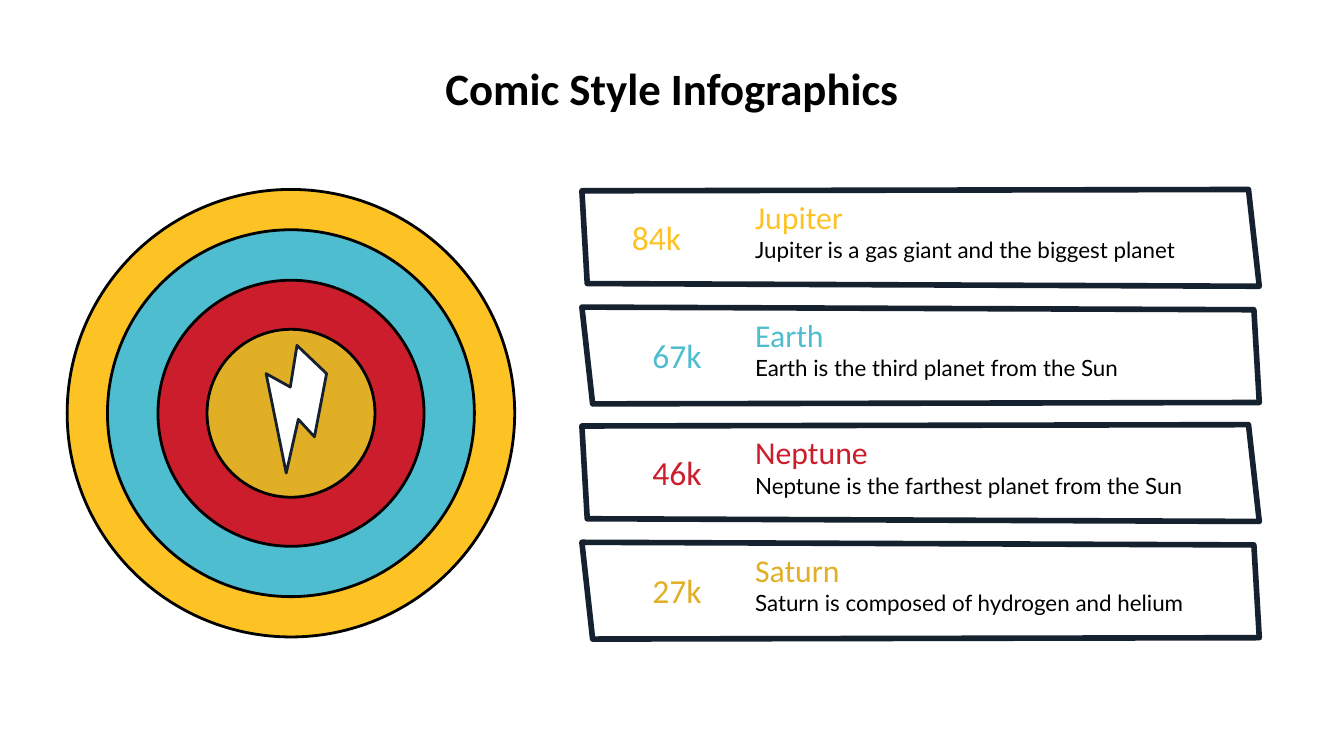
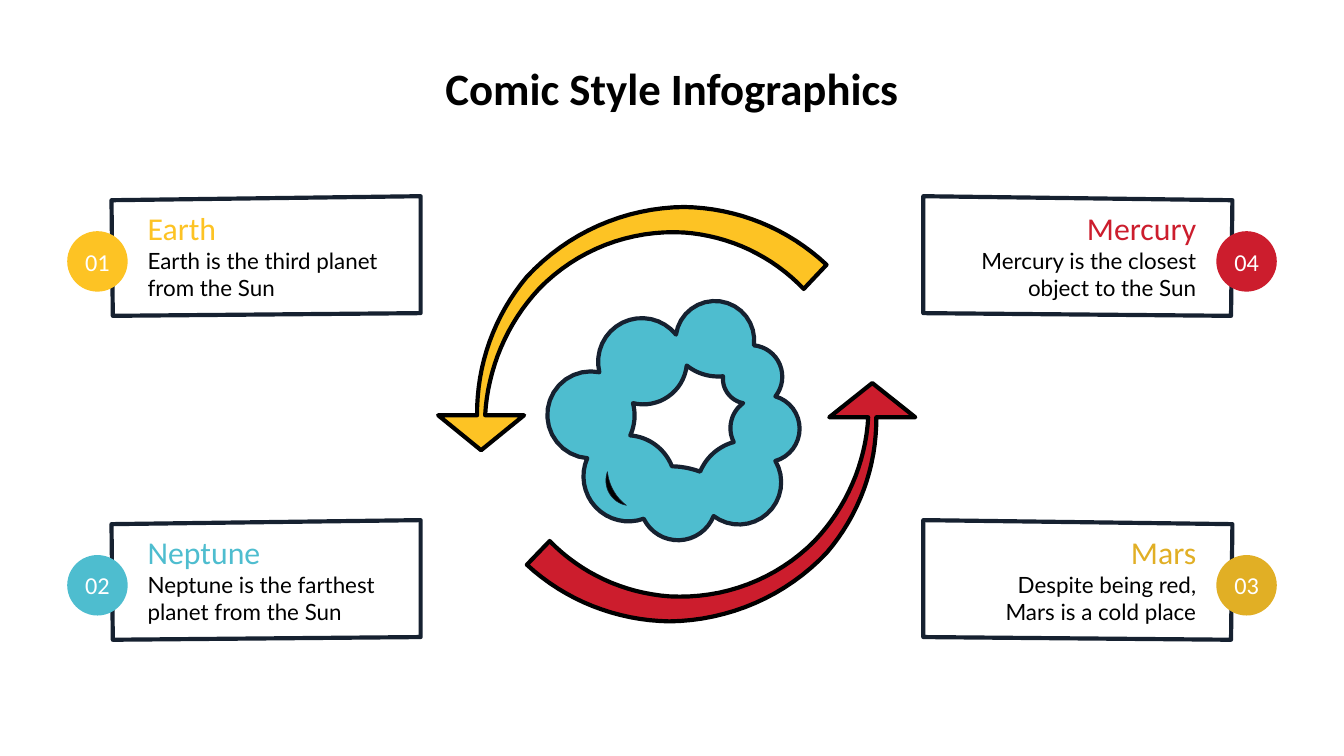
import math

import pptx
import pptx.dml.color
import pptx.enum.shapes
import pptx.enum.text
import pptx.util

# Shared look
COLOURS = {"yellow": "FDC324", "blue": "4EBDCF", "red": "CC1D2D", "gold": "E1AF25",
           "ink": "162130", "black": "000000", "white": "FFFFFF"}
HEAD_FONT, BODY_FONT = "Calibri", "Lato"
SLIDE_W, SLIDE_H = 10, 5.625  # the layout grid is in inches
TITLE = "Comic Style Infographics"
ALIGN = pptx.enum.text.PP_ALIGN

# Slide 1: value, planet, fact, colour
PLANETS = [
    ("84k", "Jupiter", "Jupiter is a gas giant and the biggest planet", "yellow"),
    ("67k", "Earth", "Earth is the third planet from the Sun", "blue"),
    ("46k", "Neptune", "Neptune is the farthest planet from the Sun", "red"),
    ("27k", "Saturn", "Saturn is composed of hydrogen and helium", "gold"),
]
RINGS = [(3.33, "yellow"), (2.73, "blue"), (1.98, "red"), (1.25, "gold")]
RING_CENTRE = (2.165, 3.075)
BOLT = [(2.43, 2.78), (2.34, 3.25), (2.22, 3.12), (2.13, 3.52),
        (1.98, 2.78), (2.16, 2.88), (2.21, 2.57)]
BANNER = [(4.96, 0), (0, 0.01), (0.04, 0.7), (5.04, 0.72)]
BANNER_W, BANNER_H = 5.04, 0.72
BANNER_LEFT, BANNER_TOP, BANNER_PITCH = 4.33, 1.41, 0.875

# Slide 2: number, planet, fact, colour, top, on the right side
CARDS = [
    ("01", "Earth", "Earth is the third planet from the Sun", "yellow", 1.46, False),
    ("02", "Neptune", "Neptune is the farthest planet from the Sun", "blue", 3.87, False),
    ("03", "Mars", "Despite being red,\nMars is a cold place", "gold", 3.87, True),
    ("04", "Mercury", "Mercury is the closest object to the Sun", "red", 1.46, True),
]
CARD = [(3.13, 0), (0.83, 0.03), (0.84, 0.89), (3.13, 0.87)]
BADGE = 0.45

# Curved outlines: every second point is the middle of an arc
CLOUD_EDGE = [(5.03, 2.49), (5.32, 2.24), (5.61, 2.57), (5.82, 2.78), (5.77, 2.95),
              (5.95, 3.19), (5.77, 3.43), (5.74, 3.79), (5.31, 3.84), (5.05, 4.02),
              (4.79, 3.86), (4.46, 3.8), (4.37, 3.41), (4.14, 2.89), (4.46, 2.77),
              (4.53, 2.48), (5.03, 2.49)]
CLOUD_HOLE = [(5.11, 2.72), (5.03, 2.9), (4.71, 3), (4.72, 3.13), (4.69, 3.24),
              (4.89, 3.32), (5, 3.47), (5.1, 3.48), (5.21, 3.51), (5.28, 3.4),
              (5.46, 3.29), (5.44, 3.14), (5.53, 3), (5.41, 2.92), (5.38, 2.8),
              (5.25, 2.79), (5.11, 2.72)]
GLEAM = [(4.52, 3.51), (4.54, 3.68), (4.66, 3.76), (4.57, 3.66), (4.52, 3.51)]
ARROW_OUTER = [(3.55, 3.09), (3.64, 2.55), (3.92, 2.06), (4.45, 1.68),
               (5.09, 1.54), (5.67, 1.66), (6.15, 1.97)]
ARROW_INNER = [(5.98, 2.15), (5.58, 1.86), (5.09, 1.73), (4.51, 1.82),
               (4.01, 2.15), (3.73, 2.58), (3.61, 3.09)]
ARROW_HEAD = [(3.9, 3.09), (3.58, 3.35), (3.26, 3.09)]


def length(inches):
    return pptx.util.Cm(inches * 2.54)


def rgb(colour):
    return pptx.dml.color.RGBColor.from_string(COLOURS[colour])


def arc(start, middle, end, steps=16):
    """Points on the circle through three points."""
    (ax, ay), (bx, by), (cx, cy) = start, middle, end
    d = 2 * (ax * (by - cy) + bx * (cy - ay) + cx * (ay - by))
    a, b, c = (x * x + y * y for x, y in (start, middle, end))
    x0 = (a * (by - cy) + b * (cy - ay) + c * (ay - by)) / d
    y0 = (a * (cx - bx) + b * (ax - cx) + c * (bx - ax)) / d
    first, via, last = (math.atan2(y - y0, x - x0) for x, y in (start, middle, end))
    turn = 2 * math.pi
    sweep = (last - first) % turn
    if (via - first) % turn > sweep:
        sweep -= turn
    radius = math.hypot(ax - x0, ay - y0)
    angles = [first + sweep * i / steps for i in range(steps + 1)]
    return [(x0 + radius * math.cos(t), y0 + radius * math.sin(t)) for t in angles]


def arcs(points):
    return [p for i in range(0, len(points) - 2, 2) for p in arc(*points[i:i + 3])]


def paint(shape, fill, line=None, width=1.5):
    shape.shadow.inherit = False
    shape.fill.solid()
    shape.fill.fore_color.rgb = rgb(fill)
    if line:
        shape.line.color.rgb = rgb(line)
        shape.line.width = pptx.util.Pt(width)
    else:
        shape.line.fill.background()


def outline(slide, contours, fill, line, width):
    builder = None
    for contour in contours:
        first, *rest = [(length(x), length(y)) for x, y in contour]
        if builder is None:
            builder = slide.shapes.build_freeform(*first)
        else:
            builder.move_to(*first)
        builder.add_line_segments(rest, close=True)
    paint(builder.convert_to_shape(), fill, line, width)


def circle(slide, left, top, size, fill, line=None):
    disc = slide.shapes.add_shape(pptx.enum.shapes.MSO_SHAPE.OVAL,
                                  *map(length, (left, top, size, size)))
    paint(disc, fill, line)
    return disc


def write(shape, words, size, colour, align, font=HEAD_FONT, bold=False, side=0.1):
    frame = shape.text_frame
    frame.word_wrap = True
    frame.vertical_anchor = pptx.enum.text.MSO_ANCHOR.MIDDLE
    frame.margin_left = frame.margin_right = length(side)
    frame.margin_top = frame.margin_bottom = length(0.1)
    paragraph = frame.paragraphs[0]
    paragraph.text = words
    paragraph.alignment = align
    for run in paragraph.runs:
        run.font.name, run.font.size, run.font.bold = font, pptx.util.Pt(size), bold
        run.font.color.rgb = rgb(colour)


def label(slide, box, words, size, colour, align=ALIGN.LEFT, **style):
    write(slide.shapes.add_textbox(*map(length, box)), words, size, colour, align, **style)


def planet_text(slide, left, top, width, gap, planet, fact, colour, align=ALIGN.LEFT):
    label(slide, (left, top, width, 0.47), planet, 17, colour, align)
    label(slide, (left, top + gap, width, 0.58), fact, 12, "black", align, font=BODY_FONT)


def titled_slide(deck):
    slide = deck.slides.add_slide(deck.slide_layouts[6])
    label(slide, (0.2, 0.34, 9.6, 0.63), TITLE, 24, "black", ALIGN.CENTER, bold=True)
    return slide


def rings_slide(deck):
    slide = titled_slide(deck)

    # Target with bolt
    x, y = RING_CENTRE
    for size, colour in RINGS:
        circle(slide, x - size / 2, y - size / 2, size, colour, "black")
    outline(slide, [BOLT], "white", "ink", 1.5)

    # Banners, every second one turned upside down
    for row, (value, planet, fact, colour) in enumerate(PLANETS):
        top = BANNER_TOP + row * BANNER_PITCH
        corners = BANNER
        if row % 2:
            corners = [(BANNER_W - x, BANNER_H - y) for x, y in BANNER]
        outline(slide, [[(BANNER_LEFT + x, top + y) for x, y in corners]], "white", "ink", 3)
        planet_text(slide, 5.52, top - 0.03, 3.97, 0.19, planet, fact, colour)
        label(slide, (4.45, top + 0.12, 0.87, 0.47), value, 18, colour,
              ALIGN.RIGHT if row else ALIGN.CENTER)


def cycle_slide(deck):
    slide = titled_slide(deck)

    # Cloud ring
    outline(slide, [arcs(CLOUD_EDGE), arcs(CLOUD_HOLE)], "blue", "ink", 2.25)
    outline(slide, [arcs(GLEAM)], "black", "ink", 0.31)

    # Arrows: the red one is the yellow one turned around, slightly flatter
    arrow = arcs(ARROW_OUTER) + arcs(ARROW_INNER) + ARROW_HEAD
    turned = [(10.07 - x, 2.85 + (3.35 - y) * 0.98) for x, y in arrow]
    outline(slide, [arrow], "yellow", "black", 2.25)
    outline(slide, [turned], "red", "black", 2.25)

    # Cards, mirrored on the right
    for number, planet, fact, colour, top, right in CARDS:
        corners = [(SLIDE_W - x if right else x, top + y) for x, y in CARD]
        outline(slide, [corners], "white", "ink", 2.25)
        planet_text(slide, 6.77 if right else 1, top, 2.23, 0.29, planet, fact, colour,
                    ALIGN.RIGHT if right else ALIGN.LEFT)
        badge_left = SLIDE_W - 0.5 - BADGE if right else 0.5
        badge = circle(slide, badge_left, top + 0.26, BADGE, colour)
        write(badge, number, 13, "white", ALIGN.CENTER, side=0)


def main():
    deck = pptx.Presentation()
    deck.slide_width, deck.slide_height = length(SLIDE_W), length(SLIDE_H)
    rings_slide(deck)
    cycle_slide(deck)
    deck.save("out.pptx")


if __name__ == "__main__":
    main()
